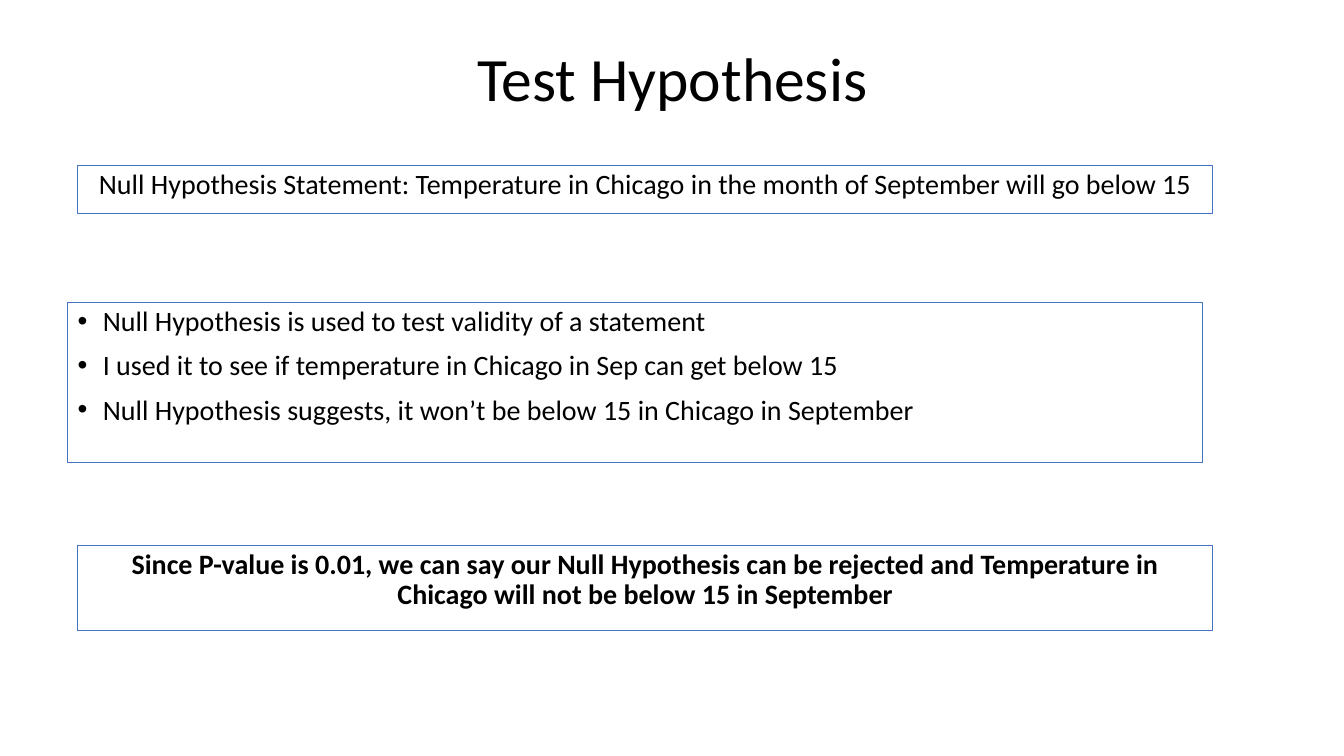
from lxml import etree
from pptx import Presentation
from pptx.dml.color import RGBColor
from pptx.enum.shapes import MSO_SHAPE
from pptx.enum.text import MSO_ANCHOR, MSO_AUTO_SIZE, PP_ALIGN
from pptx.oxml.ns import qn
from pptx.util import Inches, Pt

RECTANGLE = MSO_SHAPE.RECTANGLE
TOP, MIDDLE = MSO_ANCHOR.TOP, MSO_ANCHOR.MIDDLE
LEFT, CENTER = PP_ALIGN.LEFT, PP_ALIGN.CENTER
NO_AUTOFIT = MSO_AUTO_SIZE.NONE

BLACK = RGBColor(0x00, 0x00, 0x00)
BLUE = RGBColor(0x44, 0x72, 0xC4)

PAGE_WIDTH, PAGE_HEIGHT = 13.33, 7.5
BOX_WIDTH = 11.26
STATEMENT_LEFT, LIST_LEFT = 0.77, 0.67
BULLET_INDENT = Inches(0.25)

STATEMENT = ("Null Hypothesis Statement: Temperature in Chicago "
             "in the month of September will go below 15")
POINTS = [
    "Null Hypothesis is used to test validity of a statement",
    "I used it to see if temperature in Chicago in Sep can get below 15",
    "Null Hypothesis suggests, it won’t be below 15 in Chicago in September",
]
CONCLUSION = ("Since P-value is 0.01, we can say our Null Hypothesis can be rejected "
              "and Temperature in Chicago will not be below 15 in September")


def set_all(target, values):
    for name, value in values.items():
        setattr(target, name, value)


def place(box, left, top, width, height):
    set_all(box, {"left": Inches(left), "top": Inches(top),
                  "width": Inches(width), "height": Inches(height)})


def add_bullet(para):
    properties = para._p.get_or_add_pPr()
    properties.set("marL", str(BULLET_INDENT))
    properties.set("indent", str(-BULLET_INDENT))
    etree.SubElement(properties, qn("a:buFont")).set("typeface", "Arial")
    etree.SubElement(properties, qn("a:buChar")).set("char", "•")


def write(box, lines, size=20, align=CENTER, anchor=TOP, bold=False, bullets=False):
    """Fill a box with one paragraph per line."""
    frame = box.text_frame
    set_all(frame, {"word_wrap": True, "auto_size": NO_AUTOFIT, "vertical_anchor": anchor})
    for index, line in enumerate(lines):
        para = frame.add_paragraph() if index else frame.paragraphs[0]
        if bullets:
            add_bullet(para)
        set_all(para, {"alignment": align, "line_spacing": 0.9,
                       "space_before": Pt(10 if index else 0)})
        span = para.add_run()
        span.text = line
        set_all(span.font, {"name": "Calibri", "size": Pt(size), "bold": bold})
        span.font.color.rgb = BLACK


def outline(box):
    box.fill.background()
    box.line.color.rgb = BLUE
    box.line.width = Pt(0.75)


def add_statement(page, text, top, height, bold=False):
    box = page.shapes.add_shape(RECTANGLE, 0, 0, 0, 0)
    place(box, STATEMENT_LEFT, top, BOX_WIDTH, height)
    box.shadow.inherit = False
    outline(box)
    write(box, [text], bold=bold)


def main():
    deck = Presentation()
    deck.slide_width, deck.slide_height = Inches(PAGE_WIDTH), Inches(PAGE_HEIGHT)
    page = deck.slides.add_slide(deck.slide_layouts[1])

    title = page.shapes.title
    place(title, 0.92, 0.32, 11.5, 0.98)
    write(title, ["Test Hypothesis"], size=44, anchor=MIDDLE)

    add_statement(page, STATEMENT, top=1.64, height=0.48)
    add_statement(page, CONCLUSION, top=5.41, height=0.85, bold=True)

    points = page.placeholders[1]
    place(points, LIST_LEFT, 3, BOX_WIDTH, 1.59)
    outline(points)
    write(points, POINTS, align=LEFT, bullets=True)

    deck.save("out.pptx")


if __name__ == "__main__":
    main()
